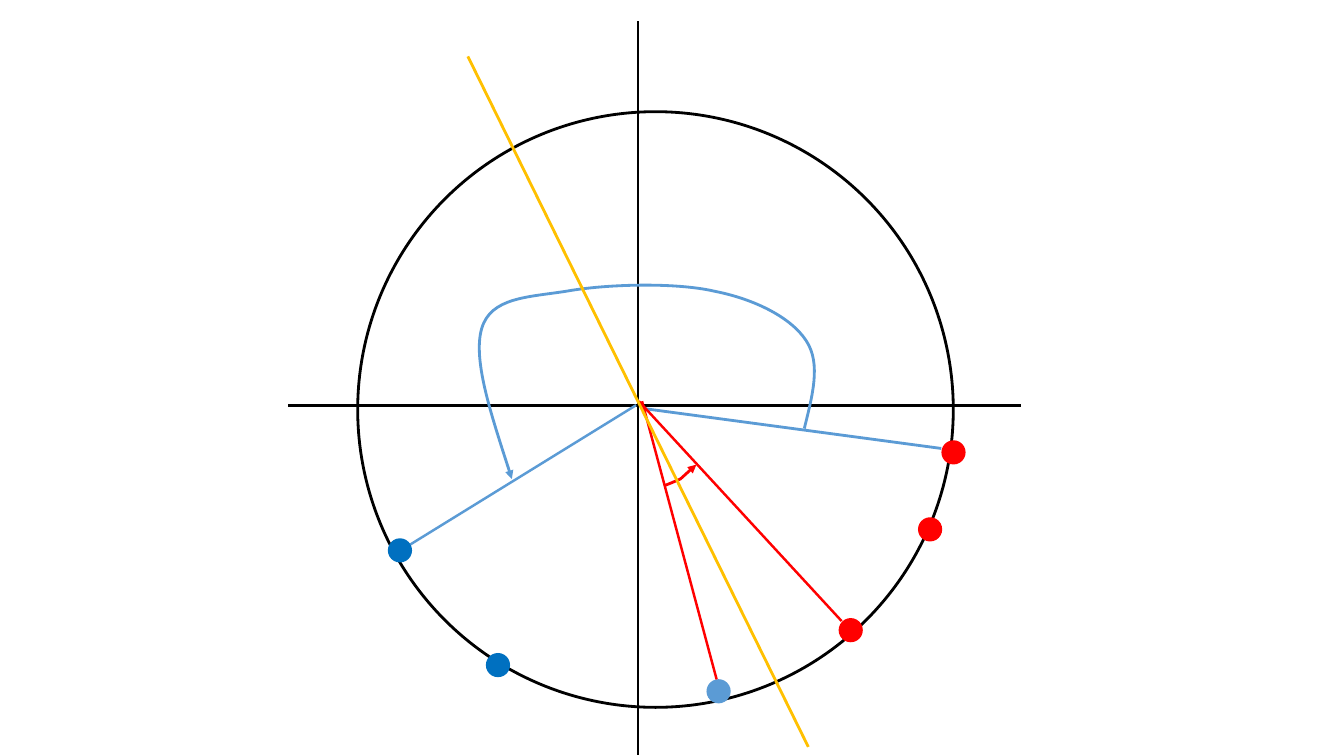
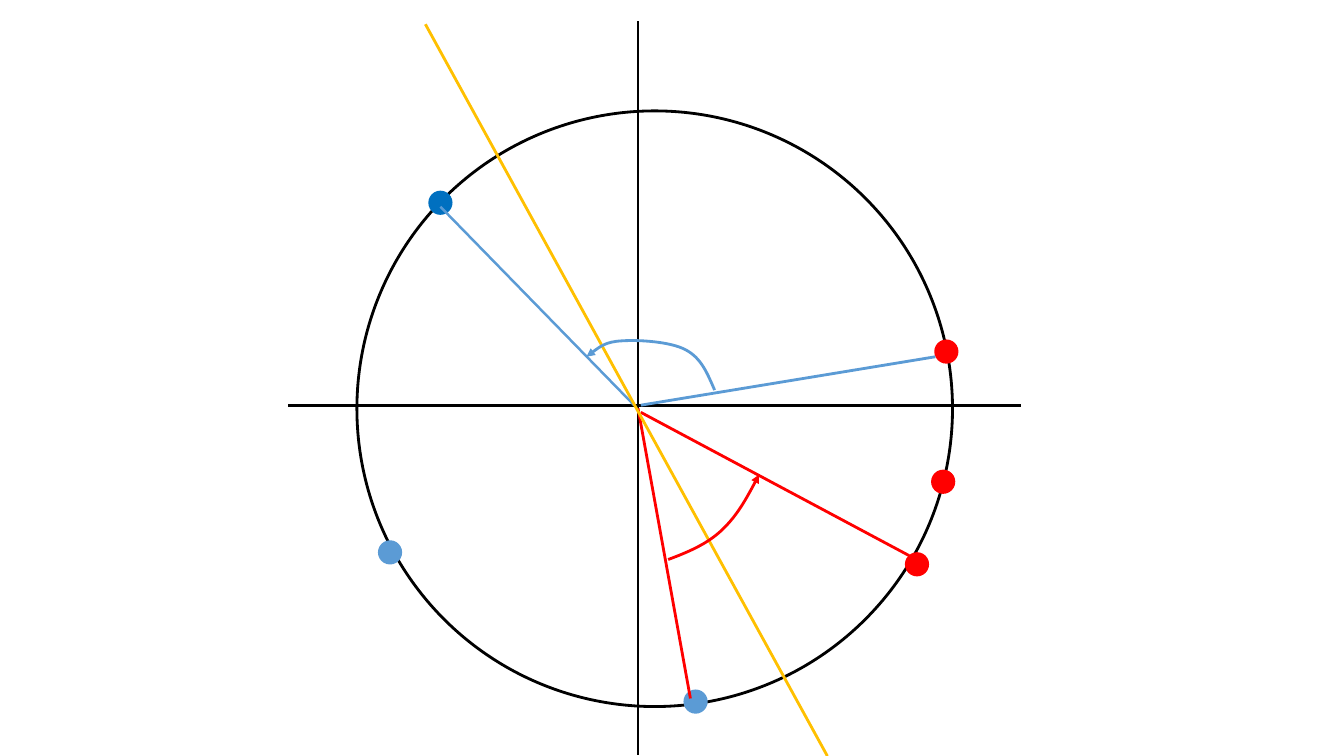
from lxml.etree import SubElement
from pptx import Presentation
from pptx.dml.color import RGBColor
from pptx.enum.shapes import MSO_CONNECTOR as CONNECTOR, MSO_SHAPE as SHAPE
from pptx.oxml.ns import qn
from pptx.util import Cm, Pt

COLORS = {
    "outline": "000000",
    "divider": "FFC000",
    "red": "FF0000",
    "blue": "5B9BD5",
    "dark blue": "0070C0",
}
CIRCLE_SIZE = 15.01
DOT_SIZE = 0.61
THIN, NORMAL = 1.75, 2
BLANK_LAYOUT = 6


class CircleDiagram:
    """Holds the style and the current slide; positions are in centimetres."""

    def __init__(self, presentation):
        self.presentation = presentation
        self.slide = None

    def new_slide(self):
        layout = self.presentation.slide_layouts[BLANK_LAYOUT]
        self.slide = self.presentation.slides.add_slide(layout)

    def style_line(self, shape, color, width):
        shape.line.color.rgb = RGBColor.from_string(COLORS[color])
        shape.line.width = Pt(width)

    def disc(self, center, size):
        left, top = (Cm(value - size / 2) for value in center)
        shape = self.slide.shapes.add_shape(SHAPE.OVAL, left, top, Cm(size), Cm(size))
        shape.shadow.inherit = False
        return shape

    def circle(self, center):
        shape = self.disc(center, CIRCLE_SIZE)
        shape.fill.background()
        self.style_line(shape, "outline", NORMAL)

    def dot(self, color, center):
        shape = self.disc(center, DOT_SIZE)
        shape.fill.solid()
        shape.fill.fore_color.rgb = RGBColor.from_string(COLORS[color])
        shape.line.fill.background()

    def line(self, color, start, end, width=NORMAL, shapes=None):
        if shapes is None:
            shapes = self.slide.shapes
        ends = [Cm(value) for value in (*start, *end)]
        connector = shapes.add_connector(CONNECTOR.STRAIGHT, *ends)
        self.style_line(connector, color, width)
        SubElement(connector.element.spPr, qn("a:effectLst"))

    def axes(self):
        shapes = self.slide.shapes.add_group_shape().shapes
        self.line("outline", (16.08, 19.02), (16.08, 0.53), shapes=shapes)
        self.line("outline", (25.73, 10.21), (7.26, 10.21), shapes=shapes)

    def curved_arrow(self, color, points):
        """Draw Bezier curves: a start, then two handles and an end for each."""
        start, *others = [(Cm(x), Cm(y)) for x, y in points]
        builder = self.slide.shapes.build_freeform(*start)
        builder.add_line_segments(others, close=False)
        shape = builder.convert_to_shape()
        shape.shadow.inherit = False
        shape.fill.background()
        self.style_line(shape, color, NORMAL)

        # Turn each three straight segments into one curve
        outline = next(shape.element.iter(qn("a:path")))
        segments = outline.findall(qn("a:lnTo"))
        for first in range(0, len(segments), 3):
            curve = SubElement(outline, qn("a:cubicBezTo"))
            for segment in segments[first:first + 3]:
                curve.append(segment[0])
                outline.remove(segment)

        line = shape.element.spPr.find(qn("a:ln"))
        SubElement(line, qn("a:tailEnd"), type="triangle")


presentation = Presentation()
presentation.slide_width, presentation.slide_height = Cm(33.87), Cm(19.05)
diagram = CircleDiagram(presentation)

# Slide 1: wide blue angle, narrow red angle
diagram.new_slide()
diagram.circle((16.52, 10.32))
for color, center in [
    ("blue", (18.11, 17.42)),
    ("red", (23.44, 13.34)),
    ("red", (24.03, 11.4)),
    ("dark blue", (12.55, 16.76)),
]:
    diagram.dot(color, center)
diagram.axes()
for color, start, end, width in [
    ("blue", (23.72, 11.3), (16.18, 10.29), NORMAL),
    ("red", (16.18, 10.11), (18.06, 17.12), THIN),
    ("blue", (10.34, 13.72), (16.03, 10.21), THIN),
    ("red", (16.1, 10.11), (21.21, 15.65), THIN),
]:
    diagram.line(color, start, end, width)
diagram.dot("dark blue", (10.08, 13.87))
diagram.dot("red", (21.44, 15.88))
diagram.curved_arrow("blue", [
    (20.27, 10.8),
    (20.47, 9.98), (20.7, 9.17), (20.32, 8.59),
    (19.94, 8), (19.02, 7.54), (18.01, 7.34),
    (17.02, 7.11), (15.27, 7.16), (14.27, 7.34),
    (13.31, 7.49), (12.37, 7.49), (12.14, 8.28),
    (11.91, 9.07), (12.42, 10.57), (12.9, 12.07),
])
diagram.curved_arrow("red", [
    (16.74, 12.24),
    (16.87, 12.19), (16.99, 12.14), (17.15, 12.07),
    (17.27, 11.96), (17.4, 11.84), (17.55, 11.71),
])
diagram.line("divider", (11.79, 1.42), (20.37, 18.82))

# Slide 2: blue angle above the axis, red angle below
diagram.new_slide()
diagram.circle((16.5, 10.3))
for color, center in [
    ("blue", (9.83, 13.92)),
    ("red", (23.77, 12.14)),
    ("red", (23.85, 8.86)),
    ("dark blue", (11.1, 5.11)),
    ("red", (23.11, 14.22)),
    ("blue", (17.53, 17.68)),
]:
    diagram.dot(color, center)
diagram.axes()
for color, start, end, width in [
    ("blue", (23.57, 8.99), (16.15, 10.21), NORMAL),
    ("blue", (15.98, 10.21), (11.1, 5.21), THIN),
    ("red", (16.08, 10.29), (17.4, 17.6), NORMAL),
    ("red", (16.15, 10.39), (22.91, 14), NORMAL),
]:
    diagram.line(color, start, end, width)
diagram.line("divider", (10.72, 0.61), (20.85, 19.05))
diagram.curved_arrow("blue", [
    (18.01, 9.83),
    (17.83, 9.42), (17.68, 9.02), (17.27, 8.81),
    (16.89, 8.61), (16.1, 8.56), (15.67, 8.59),
    (15.27, 8.61), (15.01, 8.81), (14.78, 8.99),
])
diagram.curved_arrow("red", [
    (16.84, 14.1),
    (17.32, 13.92), (17.81, 13.72), (18.19, 13.36),
    (18.57, 13), (18.85, 12.5), (19.13, 11.96),
])

presentation.save("out.pptx")
